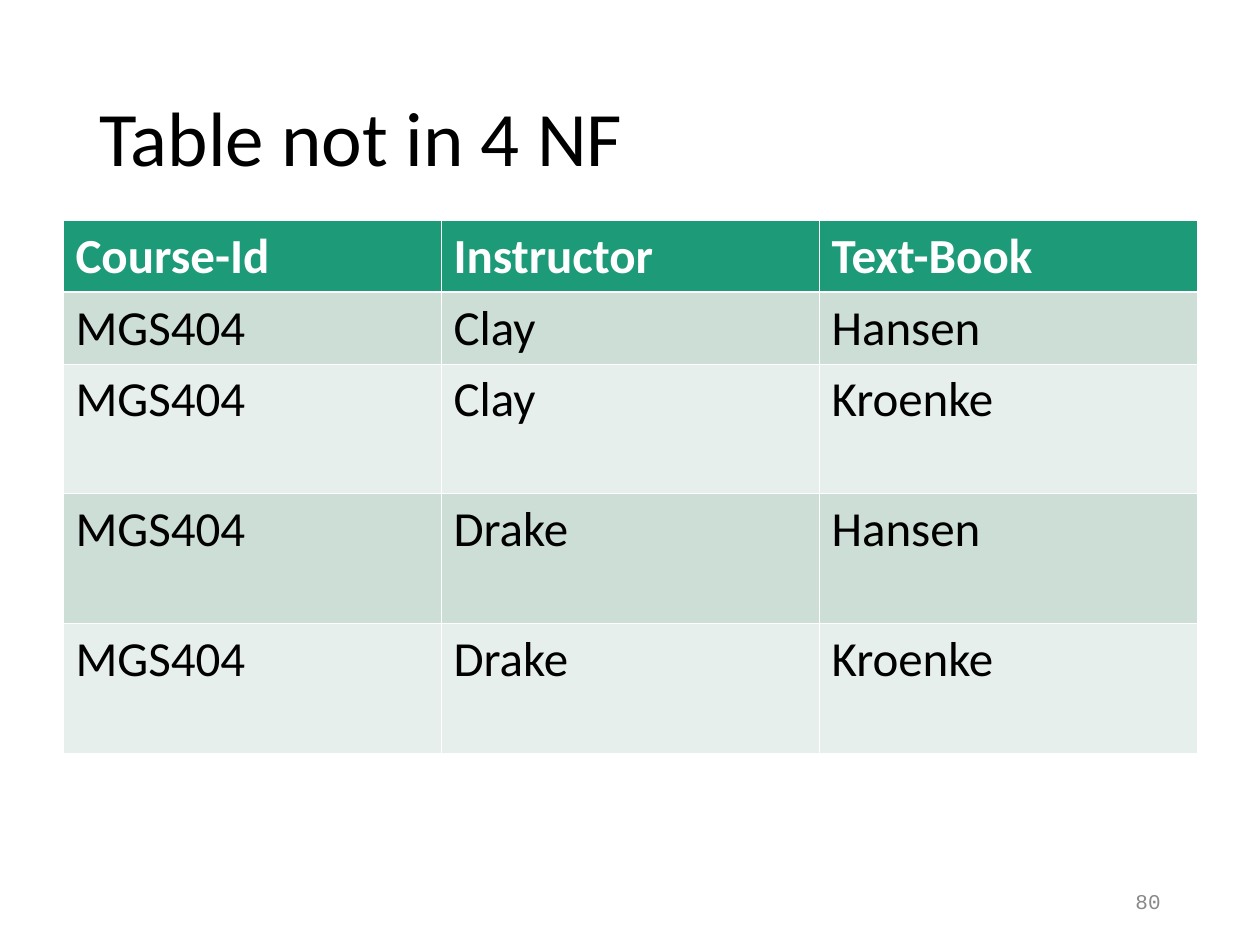
from lxml.etree import SubElement
from pptx import Presentation
from pptx.dml.color import RGBColor
from pptx.enum.text import MSO_ANCHOR, PP_ALIGN
from pptx.oxml.ns import qn
from pptx.util import Inches, Pt

COLORS = {
    "title": "000000",
    "header": "1D9A78",
    "header_text": "FFFFFF",
    "body_text": "000000",
    "odd_row": "CCDED6",
    "even_row": "E7EFEC",
    "border": "FFFFFF",
    "page_number": "898989",
}
GRID_COLUMNS, GRID_ROWS = 40, 30
SLIDE_WIDTH, SLIDE_HEIGHT = Inches(10), Inches(7.5)
THIN, THICK = 0.45, 1.47
COURSES = [
    ("Course-Id", "Instructor", "Text-Book"),
    ("MGS404", "Clay", "Hansen"),
    ("MGS404", "Clay", "Kroenke"),
    ("MGS404", "Drake", "Hansen"),
    ("MGS404", "Drake", "Kroenke"),
]
ROW_HEIGHTS = [2.28, 2.28, 4.12, 4.12, 4.12]


def across(columns):
    return round(SLIDE_WIDTH * columns / GRID_COLUMNS)


def down(rows):
    return round(SLIDE_HEIGHT * rows / GRID_ROWS)


def style_paragraph(paragraph, size, color, name="Calibri", bold=False):
    font = paragraph.font
    font.name = name
    font.size = Pt(size)
    font.bold = bold
    font.color.rgb = RGBColor.from_string(COLORS[color])


def add_text(slide, text, left, top, width, height, size, color,
             name="Calibri", align=PP_ALIGN.LEFT, spacing=1.0):
    shape = slide.shapes.add_textbox(across(left), down(top), across(width), down(height))
    frame = shape.text_frame
    frame.word_wrap = True
    frame.vertical_anchor = MSO_ANCHOR.MIDDLE
    paragraph = frame.paragraphs[0]
    paragraph.text = text
    paragraph.alignment = align
    paragraph.line_spacing = spacing
    style_paragraph(paragraph, size, color, name)


def add_borders(cell, top, bottom):
    properties = cell._tc.get_or_add_tcPr()
    for side, width in (("L", THIN), ("R", THIN), ("T", top), ("B", bottom)):
        line = SubElement(properties, qn(f"a:ln{side}"), w=str(Pt(width)))
        fill = SubElement(line, qn("a:solidFill"))
        SubElement(fill, qn("a:srgbClr"), val=COLORS["border"])


def fill_cell(cell, text, row):
    header = row == 0
    cell.text = text
    style_paragraph(cell.text_frame.paragraphs[0], 28,
                    "header_text" if header else "body_text", bold=header)
    add_borders(cell, THICK if row == 1 else THIN, THICK if header else THIN)
    background = "header" if header else "odd_row" if row % 2 else "even_row"
    cell.fill.solid()
    cell.fill.fore_color.rgb = RGBColor.from_string(COLORS[background])


def add_course_table(slide, left, top, width):
    table = slide.shapes.add_table(
        len(COURSES), len(COURSES[0]),
        across(left), down(top), across(width), down(sum(ROW_HEIGHTS))).table
    for row, (values, height) in enumerate(zip(COURSES, ROW_HEIGHTS)):
        table.rows[row].height = down(height)
        for column, text in enumerate(values):
            fill_cell(table.cell(row, column), text, row)


def main():
    presentation = Presentation()
    presentation.slide_width = SLIDE_WIDTH
    presentation.slide_height = SLIDE_HEIGHT
    slide = presentation.slides.add_slide(presentation.slide_layouts[6])
    add_text(slide, "Table not in 4 NF", 2.76, 1.6, 34.52, 5.8, 44, "title", spacing=0.9)
    add_course_table(slide, 2, 7, 36)
    add_text(slide, "80", 28.24, 27.8, 9, 1.6, 12, "page_number",
             name="Courier New", align=PP_ALIGN.RIGHT)
    presentation.save("out.pptx")


if __name__ == "__main__":
    main()
